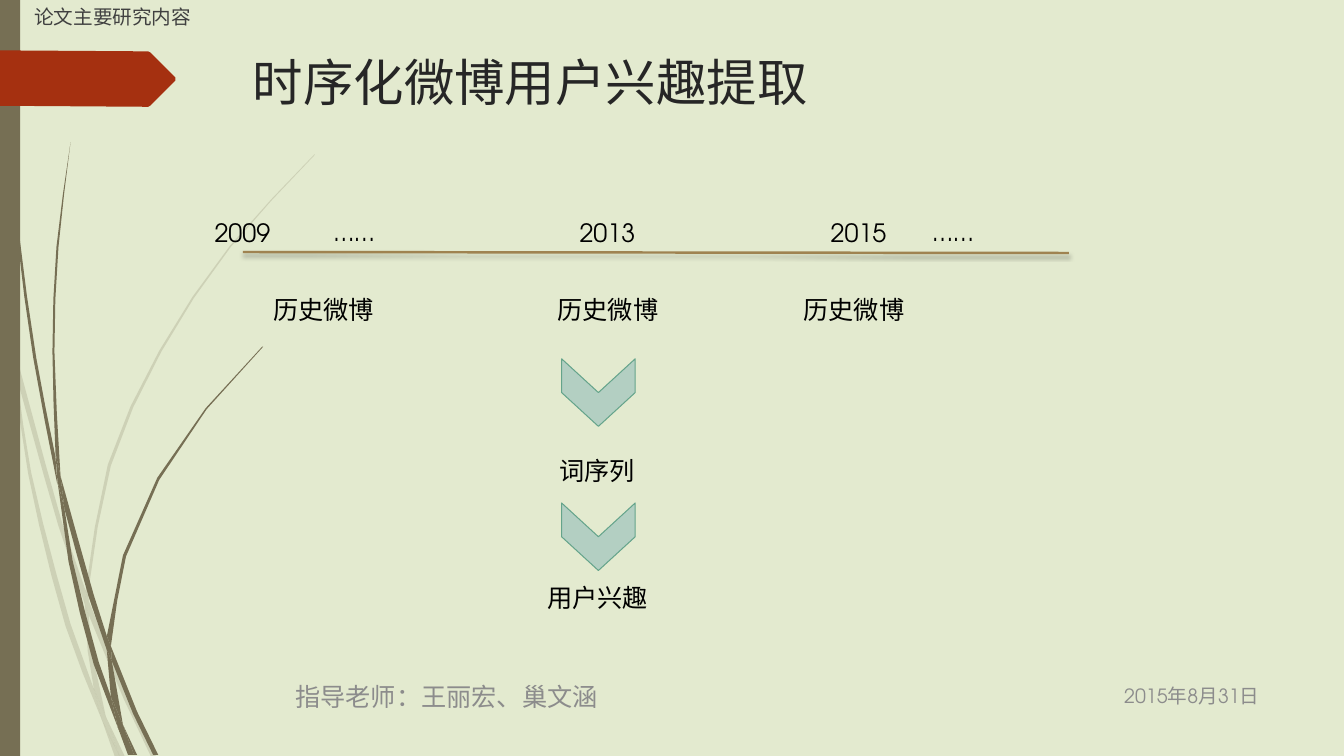
from lxml.etree import SubElement
from math import hypot
from pptx import Presentation
from pptx.dml.color import RGBColor
from pptx.enum.shapes import MSO_CONNECTOR, MSO_SHAPE
from pptx.enum.text import MSO_ANCHOR, MSO_AUTO_SIZE, PP_ALIGN
from pptx.oxml.ns import qn
from pptx.util import Pt

PX = 9144  # 100 px to the inch
FONT = "TeX Gyre Adventor"
OLIVE = "766F54"
STEP_LENGTH = 60

# Each blade of grass is made of pieces: one edge going out, one coming back.
PALE_PIECES = [
    ([(11, 350), (0, 282)], [(0, 299), (10, 344)]),
    ([(17, 376), (58, 522), (84, 599)], [(85, 586), (62, 520), (14, 345)]),
    ([(88, 610), (123, 694), (150, 751)], [(155, 751), (127, 692), (88, 596)]),
    ([(105, 711), (119, 751)], [(124, 751)]),
    ([(11, 350), (28, 470), (65, 621), (101, 714)],
     [(93, 683), (70, 619), (31, 469), (17, 376)]),
    ([(84, 599), (87, 646), (93, 683), (105, 711)], [(91, 646), (88, 610)]),
    ([(88, 596), (88, 584), (110, 462), (160, 349), (229, 245), (312, 154)],
     [(312, 153), (228, 244), (158, 348), (107, 461), (85, 586)]),
    ([(101, 714), (114, 751)], [(119, 751)]),
    ([(88, 610), (88, 596)], [(85, 586), (84, 599)]),
    ([(93, 683), (101, 714), (119, 751)], [(105, 711)]),
]
DARK_PIECES = [
    ([(3, 0), (7, 110), (17, 233), (33, 355), (57, 481)],
     [(55, 453), (36, 355), (19, 232), (8, 109), (4, 0)]),
    ([(64, 505), (88, 592), (106, 645)], [(106, 631), (93, 590), (60, 472)]),
    ([(111, 656), (132, 708), (152, 749)], [(157, 749), (136, 706), (110, 641)]),
    ([(57, 477), (68, 557), (93, 659), (117, 722)],
     [(110, 691), (98, 657), (72, 556), (64, 505)]),
    ([(55, 449), (52, 349), (56, 245), (70, 141)],
     [(70, 141), (58, 245), (54, 349), (60, 472)]),
    ([(122, 719), (133, 749)], [(136, 749)]),
    ([(55, 449), (57, 477)], [(64, 505), (60, 472)]),
    ([(106, 631), (122, 551), (156, 474), (204, 405), (260, 344)],
     [(261, 344), (205, 406), (158, 476), (125, 552), (110, 641)]),
    ([(117, 722), (127, 749)], [(131, 749)]),
    ([(106, 645), (110, 691), (122, 719)], [(111, 656)]),
    ([(106, 645), (111, 656)], [(110, 641), (106, 631)]),
    ([(110, 691), (117, 722), (130, 749)], [(133, 749), (122, 719)]),
]
ARROW_TAG = [(174, 80), (149, 105), (147, 106), (0, 105),
             (0, 50), (147, 51), (149, 52), (174, 77)]


def color(hex_code):
    return RGBColor.from_string(hex_code)


def smooth(knots):
    """Return points in px on a smooth curve through the knots."""
    padded = [knots[0], *knots, knots[-1]]
    points = [knots[0]]
    for before, start, end, after in zip(padded, padded[1:], padded[2:], padded[3:]):
        chord = hypot(end[0] - start[0], end[1] - start[1])
        leaving = hypot(end[0] - before[0], end[1] - before[1])
        arriving = hypot(after[0] - start[0], after[1] - start[1])
        steps = max(1, round(chord / STEP_LENGTH))
        for step in range(1, steps + 1):
            t = step / steps
            point = []
            for axis in (0, 1):
                a, d = start[axis], end[axis]
                b = a + (d - before[axis]) / leaving * chord / 3
                c = d - (after[axis] - a) / arriving * chord / 3
                point.append((1 - t) ** 3 * a + 3 * (1 - t) ** 2 * t * b
                             + 3 * (1 - t) * t ** 2 * c + t ** 3 * d)
            points.append(tuple(point))
    return points


presentation = Presentation()
presentation.slide_width = 1333 * PX
presentation.slide_height = 750 * PX
slide = presentation.slides.add_slide(presentation.slide_layouts[6])
slide.background.fill.solid()
slide.background.fill.fore_color.rgb = color("E3EACF")
shapes = slide.shapes

# Grass, side bar and red tag
outlines = [(smooth(out) + smooth(back), OLIVE, opacity)
            for pieces, opacity in ((PALE_PIECES, 20), (DARK_PIECES, 100))
            for out, back in pieces]
outlines.append((ARROW_TAG, "A53010", 100))
bar = shapes.add_shape(MSO_SHAPE.RECTANGLE, 0, 0, 20 * PX, 750 * PX)
decorations = [(bar, OLIVE, 100)]
for points, fill, opacity in outlines:
    corners = [(round(x * PX), round(y * PX)) for x, y in points]
    builder = shapes.build_freeform(*corners[0], scale=1)
    builder.add_line_segments(corners[1:], close=True)
    decorations.append((builder.convert_to_shape(), fill, opacity))

for shape, fill, opacity in decorations:
    shape.shadow.inherit = False
    shape.fill.solid()
    shape.fill.fore_color.rgb = color(fill)
    shape.line.fill.background()
    if opacity < 100:
        fill_color = shape._element.spPr.find(qn("a:solidFill"))[0]
        SubElement(fill_color, qn("a:alpha"), val=str(opacity * 1000))

# Framing texts: text, left, top, width, height, size, color, anchor, alignment, space before
TOP, MIDDLE = MSO_ANCHOR.TOP, MSO_ANCHOR.MIDDLE
LEFT, RIGHT = PP_ALIGN.LEFT, PP_ALIGN.RIGHT
texts = [
    ("时序化微博用户兴趣提取", 241, 46, 975, 78, 36, "262626", TOP, LEFT, 0),
    ("2015年8月31日", 1078, 670, 181, 41, 14, "8C8C8C", MIDDLE, RIGHT, 0),
    ("指导老师：王丽宏、巢文涵", 283, 671, 767, 40, 18, "8C8C8C", MIDDLE, LEFT, 0),
    ("论文主要研究内容", 24, 0, 829, 45, 14, "404040", TOP, LEFT, 10),
]
# Diagram labels: text, left, top, width
labels = [
    ("……", 321, 210, 71), ("……", 915, 210, 71),
    ("2009", 203, 211, 76), ("2015", 814, 211, 76), ("2013", 565, 211, 76),
    ("词序列", 545, 447, 96), ("用户兴趣", 533, 573, 121),
    *(("历史微博", left, 287, 121) for left in (543, 261, 787)),
]
texts += [(*label, 40, 18, "000000", TOP, LEFT, 0) for label in labels]

for text, left, top, width, height, size, ink, anchor, alignment, before in texts:
    box = shapes.add_textbox(left * PX, top * PX, width * PX, height * PX)
    frame = box.text_frame
    is_label = ink == "000000"
    frame.word_wrap = not is_label
    frame.auto_size = MSO_AUTO_SIZE.SHAPE_TO_FIT_TEXT if is_label else MSO_AUTO_SIZE.NONE
    frame.vertical_anchor = anchor
    paragraph = frame.paragraphs[0]
    paragraph.alignment = alignment
    paragraph.space_before = Pt(before)
    run = paragraph.add_run()
    run.text = text
    run.font.name = FONT
    run.font.size = Pt(size)
    run.font.color.rgb = color(ink)

# Timeline
timeline = shapes.add_connector(MSO_CONNECTOR.STRAIGHT,
                                241 * PX, 250 * PX, 1060 * PX, 251 * PX)
timeline.line.color.rgb = color("9F8351")
timeline.line.width = Pt(1.75)
effects = SubElement(timeline._element.spPr, qn("a:effectLst"))
shadow = SubElement(effects, qn("a:outerShdw"), blurRad=str(Pt(3)),
                    dist=str(Pt(2)), dir="5400000", rotWithShape="0")
shadow_color = SubElement(shadow, qn("a:srgbClr"), val="000000")
SubElement(shadow_color, qn("a:alpha"), val="25000")

# Downward steps
for top in (353, 496):
    chevron = shapes.add_shape(MSO_SHAPE.CHEVRON, 560 * PX, top * PX, 67 * PX, 73 * PX)
    chevron.rotation = 90
    chevron.shadow.inherit = False
    chevron.fill.solid()
    chevron.fill.fore_color.rgb = color("B3CFC2")
    chevron.line.color.rgb = color("65A48B")
    chevron.line.width = Pt(0.75)

presentation.save("out.pptx")
